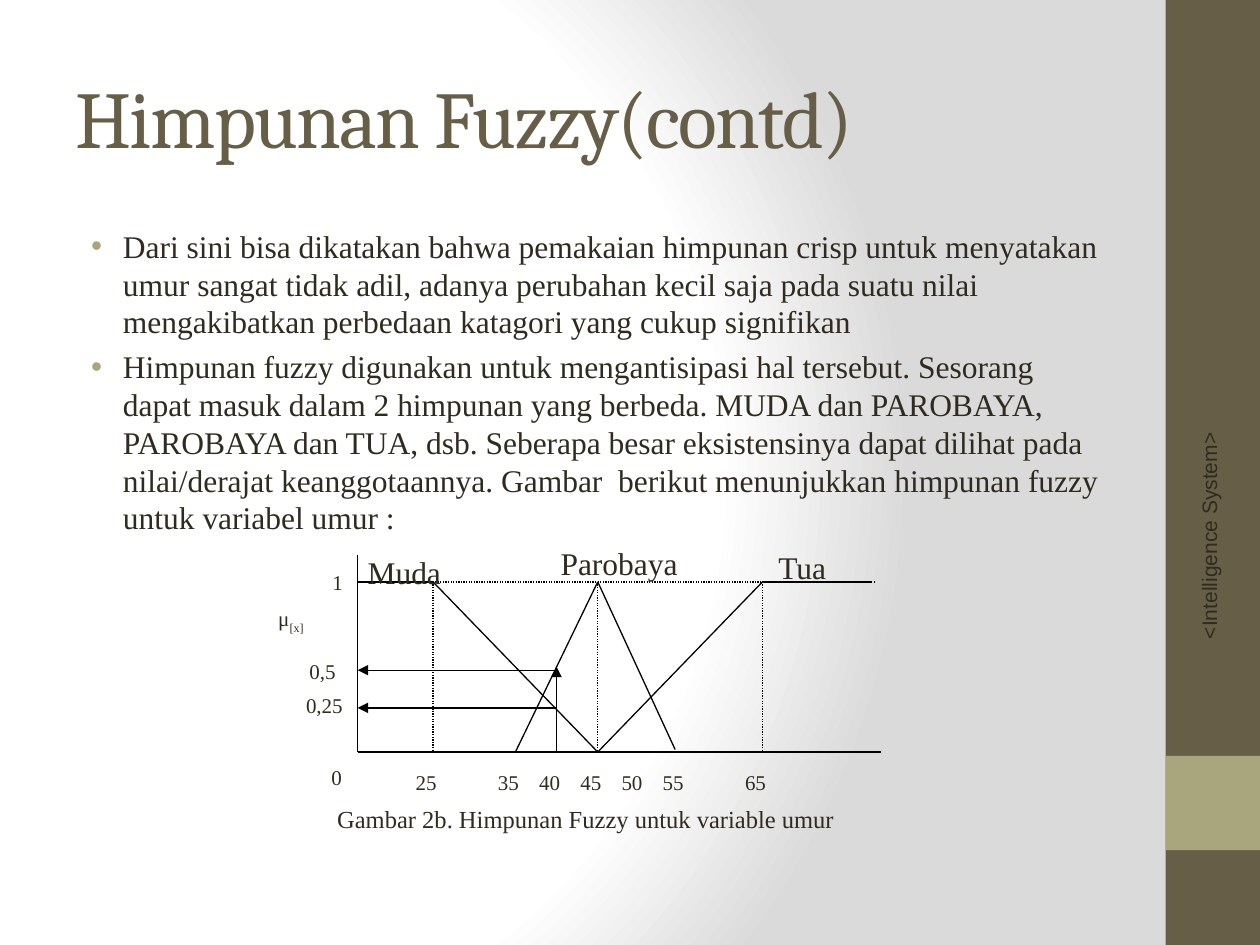
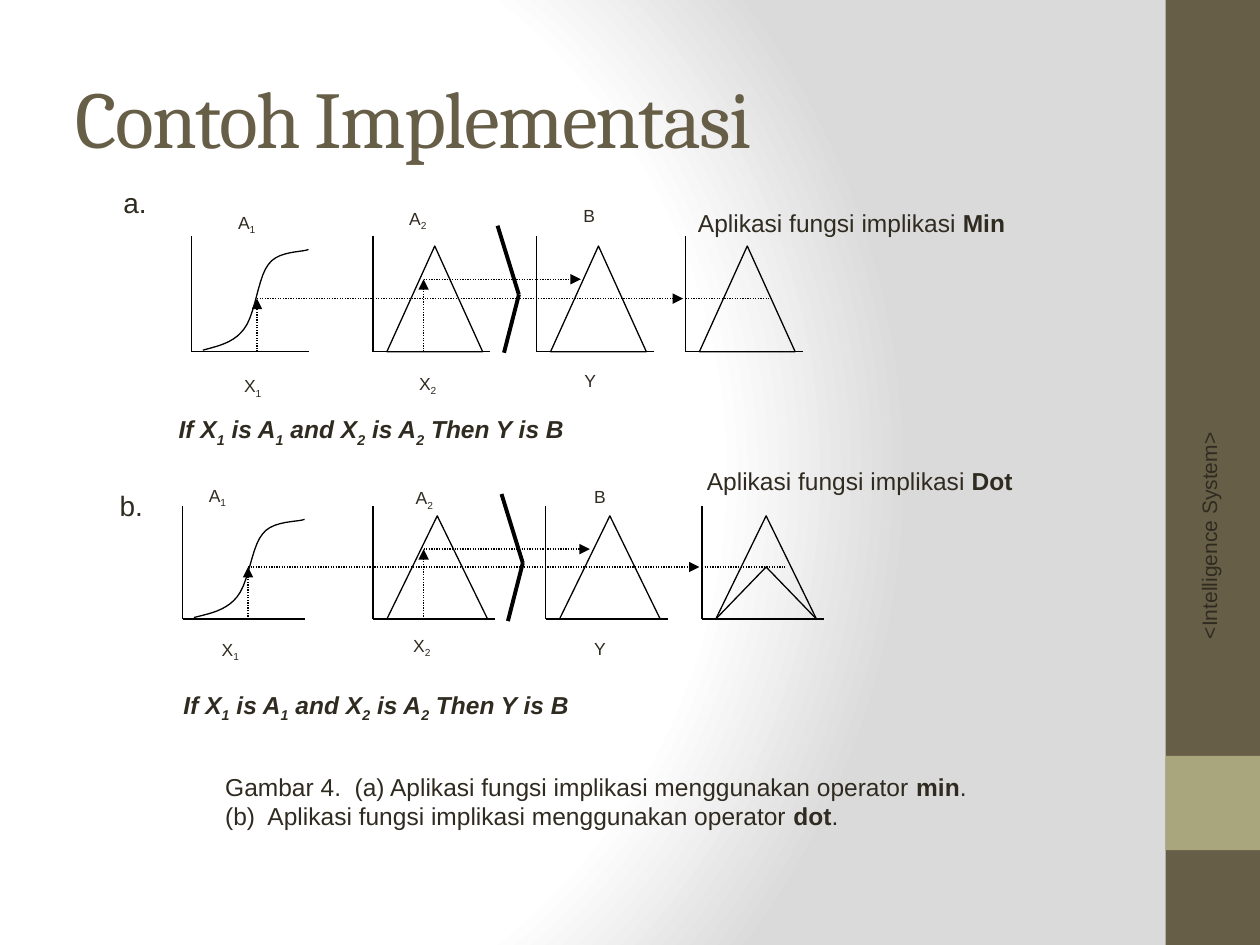
import pptx
import pptx.dml.color
import pptx.enum.dml
import pptx.enum.shapes
import pptx.enum.text
import pptx.oxml
import pptx.oxml.ns
import pptx.util

Cm = pptx.util.Cm
Pt = pptx.util.Pt
ALIGN = pptx.enum.text.PP_ALIGN
ANCHOR = pptx.enum.text.MSO_ANCHOR
SHAPE = pptx.enum.shapes.MSO_SHAPE
NS = pptx.oxml.ns.nsdecls("a")

BROWN, OLIVE, INK, BLACK = "675E47", "A9A57C", "2F2B20", "000000"
SERIF, SANS, HEAD = "Times New Roman", "Arial", "Cambria"

BACK = f"""<a:gradFill {NS} rotWithShape="1"><a:gsLst>
<a:gs pos="0"><a:srgbClr val="FFFFFF"/></a:gs>
<a:gs pos="75000"><a:srgbClr val="FFFFFF"/></a:gs>
<a:gs pos="100000"><a:srgbClr val="DADADA"/></a:gs></a:gsLst>
<a:path path="circle"><a:fillToRect l="20000" t="50000" r="100000" b="50000"/></a:path>
</a:gradFill>"""

# S-curve knots and handles as shares of its width and height
CURVE = [(0, 1), (.14, .96), (.29, .93), (.39, .79), (.5, .64), (.52, .28),
         (.62, .15), (.71, .01), (.94, .03), (1, 0)]
CLAIM = "If X|1| is A|1| and X|2| is A|2| Then Y is B"
NAMES = ["A|1", "A|2", "B", "X|1", "X|2", "Y"]

ROWS = [
    dict(axes=[3.86, 7.52, 10.82, 13.82], top=4.75, base=7.09, span=2.36,
         wide=1.93, high=2.13, level=6.02, mid=5.63, tip=10.46,
         spots=[(4.55, 4.14), (8, 4.06), (11.51, 4.01),
                (4.67, 7.44), (8.2, 7.39), (11.53, 7.34)],
         mark="a.", mark_at=(2.24, 3.61), claim_at=(3.35, 8.23),
         kind="Min", kind_at=(13.82, 4.06)),
    dict(axes=[3.68, 7.52, 11, 14.15], top=10.21, base=12.48, span=2.46,
         wide=2.03, high=2.08, level=11.43, mid=11.07, tip=10.54,
         spots=[(3.96, 9.65), (8.13, 9.7), (11.73, 9.68),
                (4.22, 12.75), (8.08, 12.67), (11.73, 12.73)],
         mark="b.", mark_at=(2.16, 9.73), claim_at=(3.45, 13.79),
         kind="Dot", kind_at=(14, 9.27)),
]


def color(value):
    return pptx.dml.color.RGBColor.from_string(value)


def style(item, **values):
    for name, value in values.items():
        setattr(item, name, value)


def paint(font, size, face, tint=INK, **more):
    style(font, size=Pt(size), name=face, **more)
    font.color.rgb = color(tint)


def write(slide, text, x, y, w=1.5, h=.9, size=12, face=SERIF,
          align=ALIGN.LEFT, strong=False, **more):
    """Add a text box; pieces between bars are subscript, or bold if strong."""
    box = slide.shapes.add_textbox(Cm(x), Cm(y), Cm(w), Cm(h))
    box.text_frame.word_wrap = True
    para = box.text_frame.paragraphs[0]
    para.alignment = align
    for n, piece in enumerate(text.split("|")):
        if not piece:
            continue
        run = para.add_run()
        run.text = piece
        paint(run.font, size, face, **more)
        if n % 2 and strong:
            run.font.bold = True
        elif n % 2:
            run._r.get_or_add_rPr().set("baseline", "-25000")
    return box


def line(slide, x1, y1, x2, y2, dots=False, arrow=False, width=.75):
    link = slide.shapes.add_connector(
        pptx.enum.shapes.MSO_CONNECTOR.STRAIGHT, Cm(x1), Cm(y1), Cm(x2), Cm(y2))
    link.line.color.rgb = color(BLACK)
    link.line.width = Pt(width)
    if dots:
        link.line.dash_style = pptx.enum.dml.MSO_LINE.ROUND_DOT
    if arrow:
        link.line._get_or_add_ln().append(
            pptx.oxml.parse_xml(f'<a:tailEnd {NS} type="triangle"/>'))
    link.element.spPr.append(pptx.oxml.parse_xml(f"<a:effectLst {NS}/>"))


def hollow(shape):
    shape.shadow.inherit = False
    shape.fill.background()
    shape.line.color.rgb = color(BLACK)
    shape.line.width = Pt(.75)


def peak(slide, x, y, w, h):
    """Add an outlined triangle."""
    hollow(slide.shapes.add_shape(
        SHAPE.ISOSCELES_TRIANGLE, Cm(x), Cm(y), Cm(w), Cm(h)))


def curve(slide, x, y, w, h, steps=10):
    dots = [CURVE[0]]
    for k in range(0, len(CURVE) - 1, 3):
        knots = CURVE[k:k + 4]
        for n in range(1, steps + 1):
            t = n / steps
            parts = ((1 - t) ** 3, 3 * t * (1 - t) ** 2, 3 * t * t * (1 - t), t ** 3)
            dots.append(tuple(sum(p * knot[i] for p, knot in zip(parts, knots))
                              for i in (0, 1)))
    spots = [(Cm(x + w * a), Cm(y + h * b)) for a, b in dots]
    pen = slide.shapes.build_freeform(*spots[0])
    pen.add_line_segments(spots[1:], close=False)
    hollow(pen.convert_to_shape())


def band(slide, y, h, tint):
    bar = slide.shapes.add_shape(
        SHAPE.RECTANGLE, Cm(23.5), Cm(y), Cm(1.9), Cm(h))
    bar.shadow.inherit = False
    bar.fill.solid()
    bar.fill.fore_color.rgb = color(tint)
    bar.line.fill.background()


def backdrop(deck):
    master = deck.slide_master
    master.background.fill.gradient()
    old = master.element.xpath("p:cSld/p:bg//a:gradFill")[0]
    old.getparent().replace(old, pptx.oxml.parse_xml(BACK))


def start(deck, text):
    """Add a slide with the shared title, bands and footer."""
    slide = deck.slides.add_slide(deck.slide_layouts.get_by_name("Title Only"))
    title = slide.shapes.title
    style(title, left=Cm(1.27), top=Cm(.76), width=Cm(21.16), height=Cm(3.18))
    title.text = text
    style(title.text_frame, vertical_anchor=ANCHOR.MIDDLE, word_wrap=True,
          auto_size=pptx.enum.text.MSO_AUTO_SIZE.NONE)
    para = title.text_frame.paragraphs[0]
    para.alignment = ALIGN.LEFT
    run = para.runs[0]
    paint(run.font, 46, HEAD, BROWN)
    run._r.get_or_add_rPr().set("spc", "-100")
    band(slide, 0, 19.05, BROWN)
    band(slide, 15.24, 1.9, OLIVE)
    foot = write(slide, "<Intelligence System>", 21.08, 11.25, 6.58, 1.02,
                 face=SANS, align=ALIGN.RIGHT)
    foot.rotation = 270
    foot.text_frame.vertical_anchor = ANCHOR.MIDDLE
    return slide


def bullets(slide, items, x, y, w, h):
    frame = slide.shapes.add_textbox(Cm(x), Cm(y), Cm(w), Cm(h)).text_frame
    frame.word_wrap = True
    for n, item in enumerate(items):
        para = frame.paragraphs[0] if n == 0 else frame.add_paragraph()
        props = para._p.get_or_add_pPr()
        props.set("marL", str(Cm(.96)))
        props.set("indent", str(Cm(-.64)))
        for xml in (f'<a:buClr {NS}><a:srgbClr val="{OLIVE}"/></a:buClr>',
                    f'<a:buFont {NS} typeface="{SANS}"/>',
                    f'<a:buChar {NS} char="•"/>'):
            props.append(pptx.oxml.parse_xml(xml))
        para.space_before = Pt(4 if n else 0)
        run = para.add_run()
        run.text = item
        paint(run.font, 18, SERIF)


def age(years):
    """Return the place of an age on the horizontal axis, in cm."""
    return 8.73 + (years - 25) * .166


def ages(slide):
    """Draw the fuzzy sets for age."""
    left, base, full, half, low = 7.21, 15.16, 11.73, 13.51, 14.27
    line(slide, left, 11.18, left, base)
    line(slide, left, base, 17.75, base)
    line(slide, left, full, 17.65, full, dots=True)
    for x1, y1, x2, y2 in (
            (left, full, age(25), full), (age(25), full, age(45), base),
            (age(35), base, age(45), full), (age(45), full, age(54.4), base - .05),
            (age(45), base, age(65), full), (age(65), full, 17.55, full)):
        line(slide, x1, y1, x2, y2)
    for years in (25, 45, 65):
        line(slide, age(years), full, age(years), base, dots=True)
    line(slide, age(40), base, age(40), half - .07, arrow=True)
    for y in (half, low):
        line(slide, age(40), y, left, y, arrow=True)
    for years in (25, 35, 40, 45, 50, 55, 65):
        write(slide, str(years), age(years) - .6, 15.39)
    for text, x, y in (("1", 6.45, 11.35), ("μ|[x]", 5.36, 12.09),
                       ("0,5", 5.99, 13.16), ("0,25", 5.92, 13.84),
                       ("0", 6.43, 15.29)):
        write(slide, text, x, y)
    for text, x, y in (("Muda", 7.16, 11.02), ("Parobaya", 11.05, 10.85),
                       ("Tua", 15.44, 10.92)):
        write(slide, text, x, y, 3.2, 1.02, size=18)


def infer(slide, row):
    """Draw one row of inference plots with its labels."""
    axes, base, level, mid = row["axes"], row["base"], row["level"], row["mid"]
    wide, high = row["wide"], row["high"]
    for x in axes:
        line(slide, x, row["top"], x, base)
        line(slide, x, base, x + row["span"], base)
    curve(slide, axes[0] + .23, base - high + .07, wide + .2, high - .1)
    for x in axes[1:]:
        peak(slide, x + .28, base - high, wide, high)
    if row["kind"] == "Dot":
        peak(slide, axes[3] + .28, level, wide, base - level)

    first, second, last = axes[0] + 1.32, axes[1] + 1.02, axes[3]
    for x1, y1, x2, y2 in ((first, level, last - .05, level),
                           (second, mid, axes[2] + .89, mid),
                           (first, base, first, level),
                           (second, base, second, mid)):
        line(slide, x1, y1, x2, y2, dots=True, arrow=True)
    line(slide, last, level, last + 1.68, level, dots=True)

    tip = row["tip"], level - .08
    for dx, dy in ((-.43, -1.39), (-.3, 1.17)):
        line(slide, tip[0] + dx, tip[1] + dy, *tip, width=2.25)

    for text, spot in zip(NAMES, row["spots"]):
        write(slide, text, *spot, size=10, face=SANS)
    write(slide, row["mark"], *row["mark_at"], size=16, face=SANS)
    write(slide, CLAIM, *row["claim_at"], 9.45, 1.45, size=14, face=SANS,
          bold=True, italic=True)
    write(slide, f"Aplikasi fungsi implikasi |{row['kind']}", *row["kind_at"],
          8, 1.22, size=14, face=SANS, strong=True)


def main():
    deck = pptx.Presentation()
    style(deck, slide_width=Cm(25.4), slide_height=Cm(19.05))
    backdrop(deck)

    slide = start(deck, "Himpunan Fuzzy(contd)")
    bullets(slide, [
        "Dari sini bisa dikatakan bahwa pemakaian himpunan crisp untuk "
        "menyatakan umur sangat tidak adil, adanya perubahan kecil saja pada "
        "suatu nilai mengakibatkan perbedaan katagori yang cukup signifikan",
        "Himpunan fuzzy digunakan untuk mengantisipasi hal tersebut. Sesorang "
        "dapat masuk dalam 2 himpunan yang berbeda. MUDA dan PAROBAYA, "
        "PAROBAYA dan TUA, dsb. Seberapa besar eksistensinya dapat dilihat "
        "pada nilai/derajat keanggotaannya. Gambar  berikut menunjukkan "
        "himpunan fuzzy untuk variabel umur :",
    ], 1.27, 4.45, 21.16, 13.34)
    ages(slide)
    write(slide, "Gambar 2b. Himpunan Fuzzy untuk variable umur",
          6.3, 16.08, 11.02, .81, size=14, align=ALIGN.CENTER)

    slide = start(deck, "Contoh Implementasi")
    for row in ROWS:
        infer(slide, row)
    write(slide, "Gambar 4.  (a) Aplikasi fungsi implikasi menggunakan operator "
          "|min|.  (b)  Aplikasi fungsi implikasi menggunakan operator |dot|.",
          4.29, 15.44, 15.93, 2.03, size=14, face=SANS, strong=True)
    deck.save("out.pptx")


if __name__ == "__main__":
    main()
